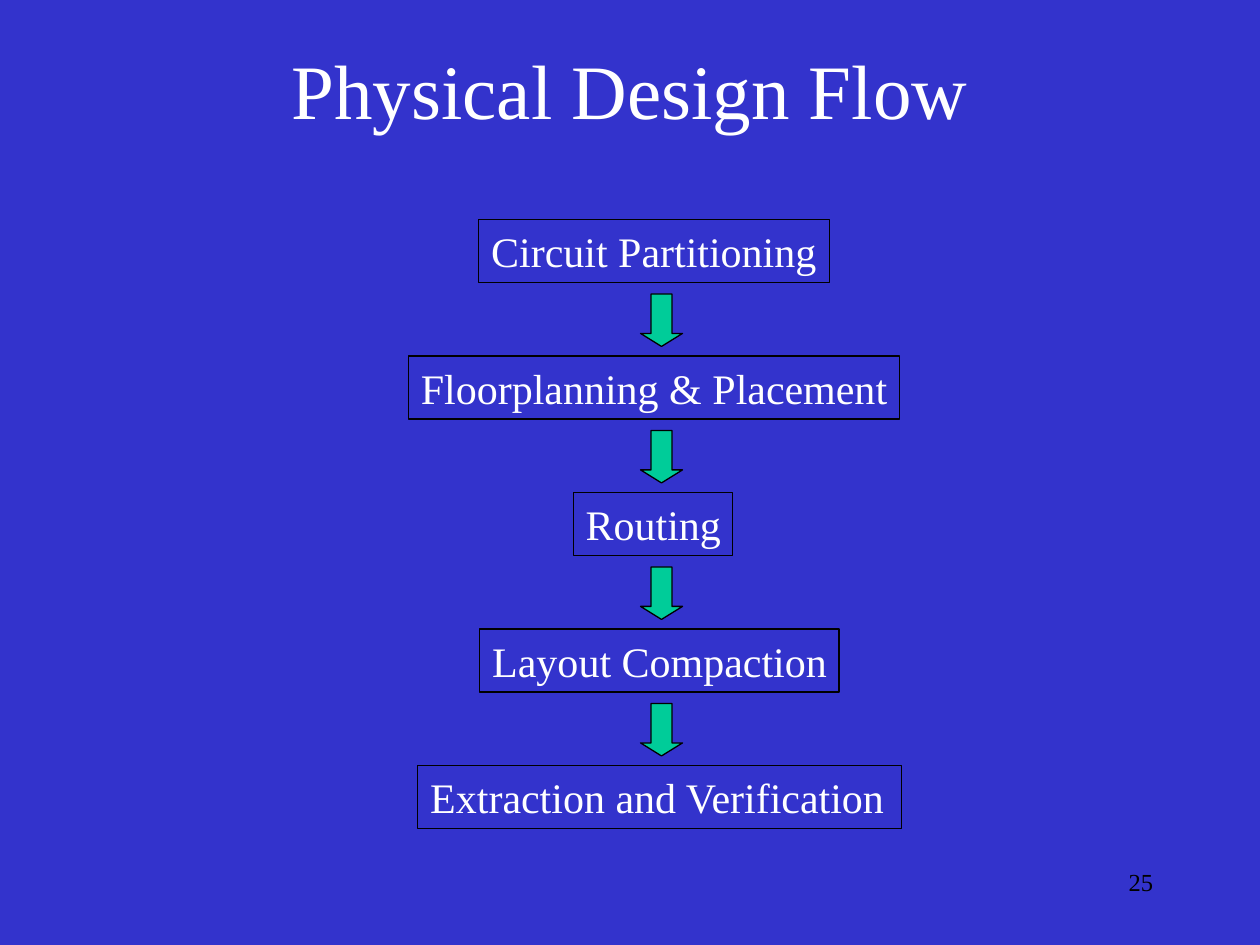
from pptx import Presentation
from pptx.dml.color import RGBColor
from pptx.enum.shapes import MSO_SHAPE as Shape
from pptx.enum.text import MSO_ANCHOR as Anchor, PP_ALIGN as Align
from pptx.util import Pt

PX = 7620  # EMU per px, 120 px to the inch
BLUE = RGBColor(0x33, 0x33, 0xCC)
GREEN = RGBColor(0x00, 0xCC, 0x99)
WHITE = RGBColor(0xFF, 0xFF, 0xFF)
BLACK = RGBColor(0x00, 0x00, 0x00)
FONT = "Times New Roman"

STEP_TOP, STEP_PITCH, STEP_H = 209, 130, 60
ARROW_X, ARROW_W, ARROW_H, ARROW_RISE = 610, 40, 50, 59
STEPS = [  # label, left, width
    ("Circuit Partitioning", 456, 334),
    ("Floorplanning & Placement", 389, 468),
    ("Routing", 546, 152),
    ("Layout Compaction", 457, 342),
    ("Extraction and Verification", 398, 461),
]


def emu(*lengths):
    return [n * PX for n in lengths]


def write(sp, text, size, color, align, anchor):
    tf = sp.text_frame
    for name, value in dict(word_wrap=True, vertical_anchor=anchor).items():
        setattr(tf, name, value)
    p = tf.paragraphs[0]
    p.alignment = align
    r = p.add_run()
    r.text = text
    for name, value in dict(name=FONT, size=Pt(size)).items():
        setattr(r.font, name, value)
    r.font.color.rgb = color


def add_label(s, box, *style):
    write(s.shapes.add_textbox(*emu(*box)), *style)


def add_outlined(s, kind, box, fill=None):
    sp = s.shapes.add_shape(kind, *emu(*box))
    sp.shadow.inherit = False
    if fill is None:
        sp.fill.background()
    else:
        sp.fill.solid()
        sp.fill.fore_color.rgb = fill
    sp.line.color.rgb = BLACK
    sp.line.width = Pt(0.75)
    return sp


def add_step(s, box, label):
    sp = add_outlined(s, Shape.RECTANGLE, box)
    write(sp, label, 24, WHITE, Align.LEFT, Anchor.TOP)
    sp.text_frame.margin_right = 0  # keeps the tight label on one line


def add_arrow(s, box):
    sp = add_outlined(s, Shape.DOWN_ARROW, box, GREEN)
    sp.adjustments[0] = 0.5
    sp.adjustments[1] = 0.31


def add_flow(s, top):
    """Stack the steps at an equal pitch, with an arrow above all but the first."""
    for i, (label, left, width) in enumerate(STEPS):
        y = top + i * STEP_PITCH
        add_step(s, (left, y, width, STEP_H), label)
        if i:
            add_arrow(s, (ARROW_X, y - ARROW_RISE, ARROW_W, ARROW_H))


def main():
    prs = Presentation()
    prs.slide_width, prs.slide_height = emu(1200, 900)
    s = prs.slides.add_slide(prs.slide_layouts[6])
    s.background.fill.solid()
    s.background.fill.fore_color.rgb = BLUE
    add_label(s, (860, 820, 250, 60), "25", 14, BLACK, Align.RIGHT, Anchor.TOP)
    add_label(s, (90, 30, 1020, 110), "Physical Design Flow", 44, WHITE,
              Align.CENTER, Anchor.MIDDLE)
    add_flow(s, STEP_TOP)
    prs.save("out.pptx")


if __name__ == "__main__":
    main()
